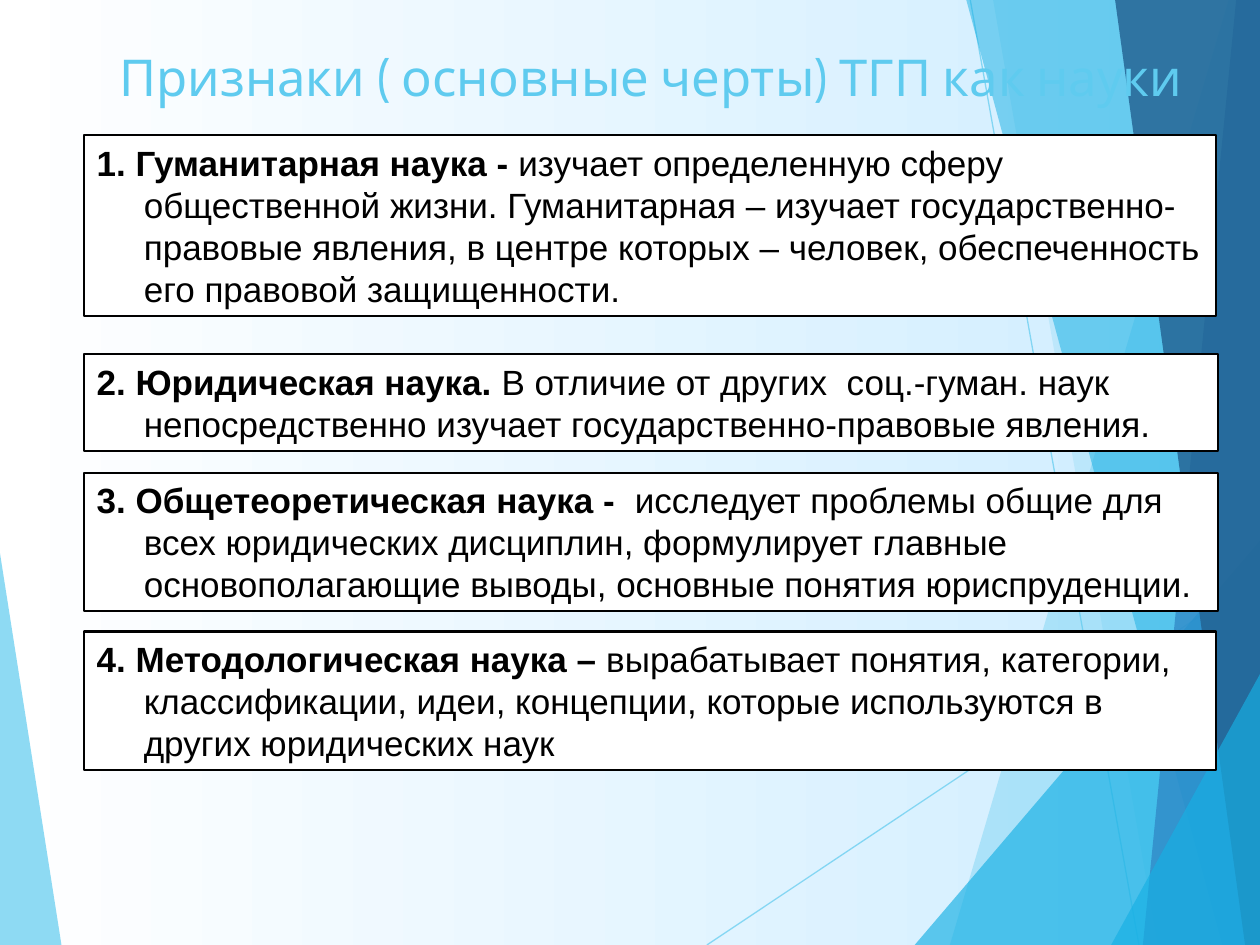
from lxml.etree import SubElement
from pptx import Presentation
from pptx.dml.color import RGBColor
from pptx.enum.shapes import MSO_CONNECTOR as Connector, MSO_SHAPE as Shape
from pptx.enum.text import MSO_ANCHOR as Anchor, PP_ALIGN as Align
from pptx.oxml.ns import qn
from pptx.util import Cm, Pt

WIDTH, HEIGHT = 25.4, 19.05
SKY, AZURE = "5FCBEF", "17B0E4"

LEFT_FACET = ([(0, 11.15), (1.24, HEIGHT), (0, HEIGHT)], SKY, 70)
RIGHT_FACETS = [
    ([(24.77, 0), (19.15, HEIGHT), (WIDTH, HEIGHT), (WIDTH, 0)], SKY, 36),
    ([(20.02, 0), (23.34, HEIGHT), (WIDTH, HEIGHT), (WIDTH, 0)], SKY, 20),
    ([(18.44, HEIGHT), (WIDTH, 10.9), (WIDTH, HEIGHT)], AZURE, 66),
    ([(19.48, 0), (24.64, HEIGHT), (WIDTH, HEIGHT), (WIDTH, 0)], AZURE, 50),
    ([(24.92, 0), (23.04, HEIGHT), (WIDTH, HEIGHT), (WIDTH, 0)], "2E83C3", 70),
    ([(22.48, 0), (25.1, HEIGHT), (WIDTH, HEIGHT), (WIDTH, 0)], "236292", 82),
    ([(22.4, HEIGHT), (WIDTH, 13.59), (WIDTH, HEIGHT)], AZURE, 66),
]
RAYS = [((14.25, HEIGHT), (WIDTH, 11.61)), ((19.56, 0), (22.96, HEIGHT))]

FEATURES = [
    (2.72, 22.81, 3.66, "1. Гуманитарная наука - ",
     "изучает определенную сферу общественной жизни. Гуманитарная – изучает "
     "государственно-правовые явления, в центре которых – человек, "
     "обеспеченность его правовой защищенности."),
    (7.14, 22.86, 1.96, "2. Юридическая наука. ",
     "В отличие от других  соц.-гуман. наук непосредственно изучает "
     "государственно-правовые явления."),
    (9.53, 22.86, 2.79, "3. Общетеоретическая наука -  ",
     "исследует проблемы общие для всех юридических дисциплин, формулирует "
     "главные основополагающие выводы, основные понятия юриспруденции."),
    (12.73, 22.81, 2.79, "4. Методологическая наука – ",
     "вырабатывает понятия, категории, классификации, идеи, концепции, "
     "которые используются в других юридических наук"),
]


def color(value):
    return RGBColor.from_string(value)


def set_opacity(shape, percent):
    tint = next(shape._element.spPr.iter(qn("a:srgbClr")))
    SubElement(tint, qn("a:alpha")).set("val", str(percent * 1000))


def paint_background(page):
    fill = page.background.fill
    fill.gradient()
    fill.gradient_angle = 0
    for stop, position, value in zip(fill.gradient_stops, (0, 1), ("FFFFFF", "CCECFF")):
        stop.position = position
        stop.color.rgb = color(value)


def add_facet(page, points, value, opacity):
    corners = [(x * 100, y * 100) for x, y in points]
    builder = page.shapes.build_freeform(*corners[0], scale=Cm(0.01))
    builder.add_line_segments(corners[1:], close=True)
    facet = builder.convert_to_shape()
    facet.shadow.inherit = False
    facet.fill.solid()
    facet.fill.fore_color.rgb = color(value)
    facet.line.fill.background()
    set_opacity(facet, opacity)


def add_ray(page, start, end):
    ray = page.shapes.add_connector(
        Connector.STRAIGHT, *(Cm(length) for length in start + end))
    ray.line.color.rgb = color(SKY)
    ray.line.width = Pt(0.75)
    set_opacity(ray, 70)
    SubElement(ray._element.spPr, qn("a:effectLst"))


def add_span(para, text, size=20, font="Arial", value="000000", bold=False):
    span = para.add_run()
    span.text = text
    span.font.size = Pt(size)
    span.font.name = font
    span.font.bold = bold
    span.font.color.rgb = color(value)


def add_title(page, text):
    box = page.shapes.add_textbox(Cm(1.7), Cm(0.71), Cm(22.86), Cm(1.65))
    frame = box.text_frame
    frame.word_wrap = True
    frame.vertical_anchor = Anchor.MIDDLE
    para = frame.paragraphs[0]
    para.alignment = Align.CENTER
    add_span(para, text, size=29, font="Cabin", value=SKY)


def add_feature(page, top, width, height, name, description):
    box = page.shapes.add_shape(Shape.RECTANGLE, Cm(1.7), Cm(top), Cm(width), Cm(height))
    box.shadow.inherit = False
    box.fill.solid()
    box.fill.fore_color.rgb = color("FFFFFF")
    box.line.color.rgb = color("000000")
    box.line.width = Pt(1.25)
    frame = box.text_frame
    frame.word_wrap = True
    frame.vertical_anchor = Anchor.TOP
    para = frame.paragraphs[0]
    para.alignment = Align.LEFT
    properties = para._p.get_or_add_pPr()
    properties.set("marL", str(Cm(0.95)))
    properties.set("indent", str(-Cm(0.95)))
    add_span(para, name, bold=True)
    add_span(para, description)


def main():
    deck = Presentation()
    deck.slide_width, deck.slide_height = Cm(WIDTH), Cm(HEIGHT)
    page = deck.slides.add_slide(deck.slide_layouts[6])
    paint_background(page)
    add_facet(page, *LEFT_FACET)
    for ray in RAYS:
        add_ray(page, *ray)
    for facet in RIGHT_FACETS:
        add_facet(page, *facet)
    add_title(page, "Признаки ( основные черты) ТГП как науки")
    for feature in FEATURES:
        add_feature(page, *feature)
    deck.save("out.pptx")


if __name__ == "__main__":
    main()
